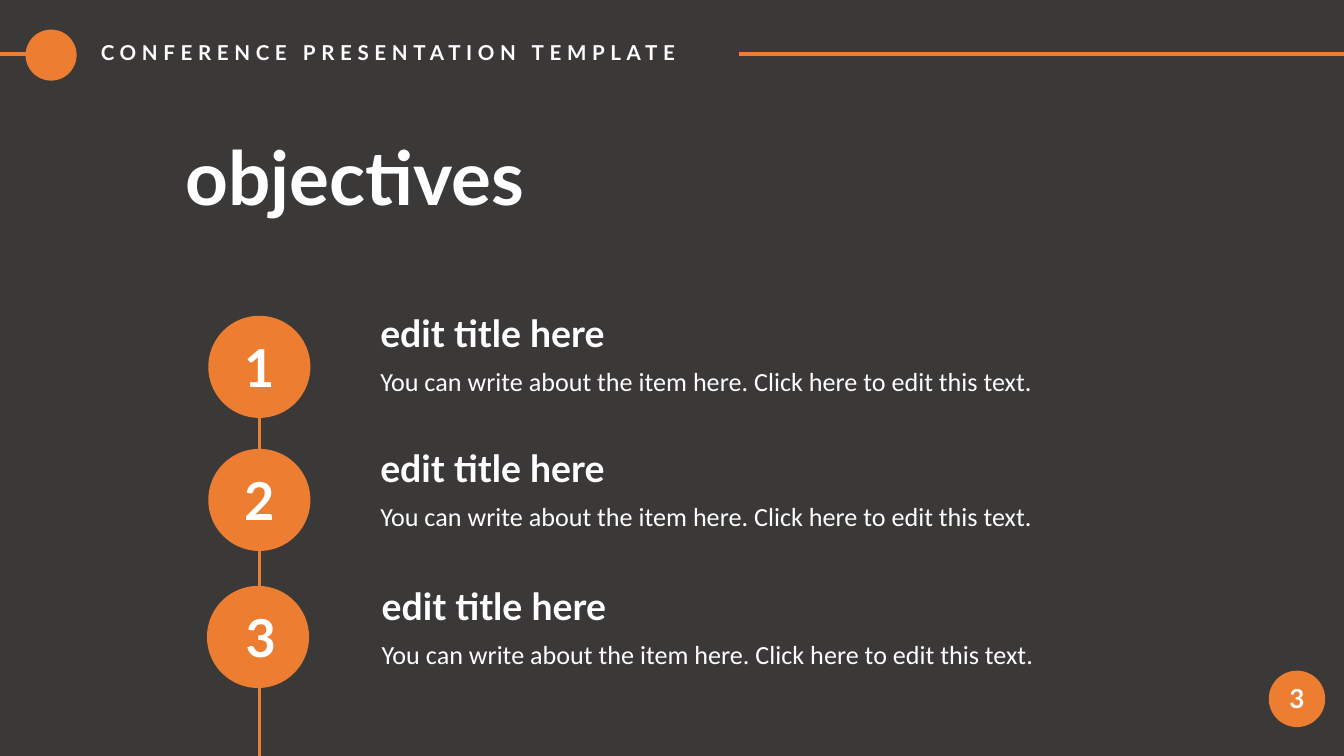
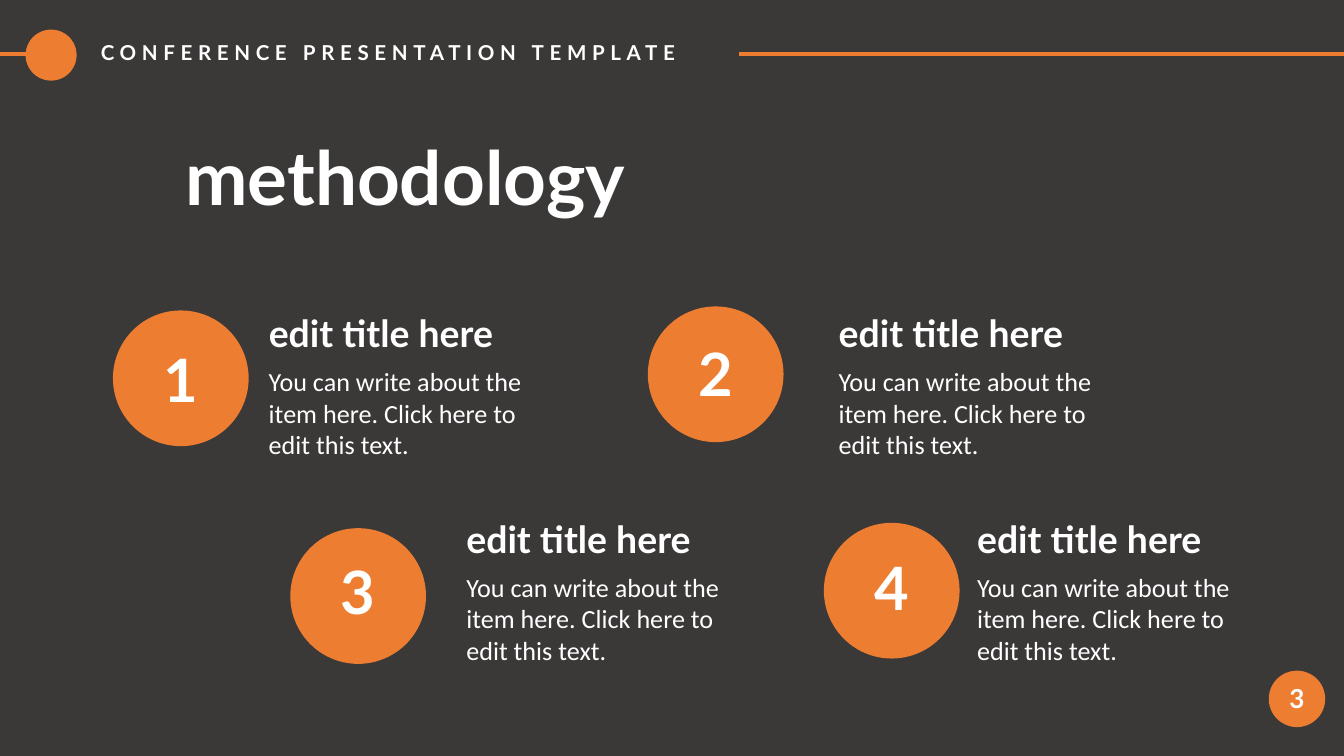
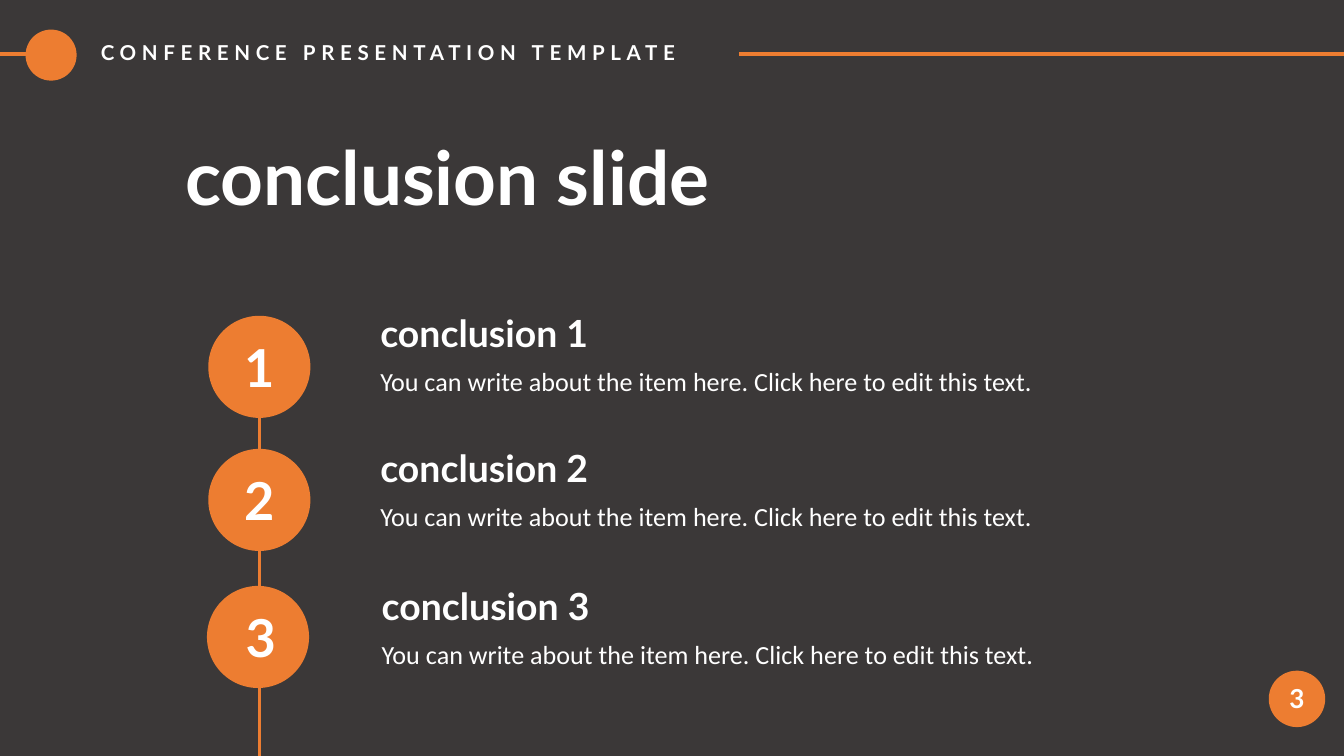
from dataclasses import dataclass

from pptx import Presentation
from pptx import util as u
from pptx.dml.color import RGBColor
from pptx.enum import shapes, text
from pptx.oxml.ns import qn
from lxml import etree


@dataclass(frozen=True)
class Theme:
    background: RGBColor = RGBColor(0x3B, 0x38, 0x38)
    accent: RGBColor = RGBColor(0xED, 0x7D, 0x31)
    ink: RGBColor = RGBColor(0xFF, 0xFF, 0xFF)
    heading_font: str = "Lato"
    body_font: str = "Calibri"
    title_size: int = 40
    large_number_size: int = 32
    number_size: int = 28
    item_size: int = 20
    body_size: int = 14
    header_size: int = 11
    header_spacing: int = 3
    line_width: int = 2


WIDTH = 10
HEIGHT = WIDTH * 9 / 16
HEADER = "CONFERENCE PRESENTATION TEMPLATE"
PAGE_NUMBER = "3"
ITEM_TITLE = "edit title here"
ITEM_BODY = "You can write about the item here. Click here to edit this text."


class Deck:
    """Holds the style and the slide being drawn."""

    def __init__(self, theme):
        self.theme = theme
        self.presentation = Presentation()
        self.presentation.slide_width = u.Inches(WIDTH)
        self.presentation.slide_height = u.Inches(HEIGHT)
        self.slide = None

    def circle(self, left, top, size):
        shape = self.slide.shapes.add_shape(
            shapes.MSO_SHAPE.OVAL, *map(u.Inches, (left, top, size, size)))
        shape.shadow.inherit = False
        shape.fill.solid()
        shape.fill.fore_color.rgb = self.theme.accent
        shape.line.fill.background()

    def line(self, x1, y1, x2, y2):
        connector = self.slide.shapes.add_connector(
            shapes.MSO_CONNECTOR.STRAIGHT, *map(u.Inches, (x1, y1, x2, y2)))
        connector.line.color.rgb = self.theme.accent
        connector.line.width = u.Pt(self.theme.line_width)
        etree.SubElement(connector.element.spPr, qn("a:effectLst"))

    def label(self, words, left, top, width, height, size, heading=True,
              centered=False, middle=False, spacing=None):
        box = self.slide.shapes.add_textbox(
            *map(u.Inches, (left, top, width, height)))
        frame = box.text_frame
        frame.word_wrap = True
        frame.margin_left = frame.margin_right = 0
        frame.margin_top = frame.margin_bottom = 0
        frame.vertical_anchor = (
            text.MSO_ANCHOR.MIDDLE if middle else text.MSO_ANCHOR.TOP)
        paragraph = frame.paragraphs[0]
        paragraph.text = words
        paragraph.alignment = (
            text.PP_ALIGN.CENTER if centered else text.PP_ALIGN.LEFT)
        font = paragraph.font
        font.name = self.theme.heading_font if heading else self.theme.body_font
        font.size = u.Pt(size)
        font.bold = heading
        font.color.rgb = self.theme.ink
        if spacing:
            run = paragraph.runs[0]
            run.font._element.set("spc", str(spacing * 100))

    def badge(self, number, left, top, size, number_size, shift=(0, 0)):
        """Circle with a number at its centre, nudged by shift."""
        width, height = 0.74, 0.59
        self.circle(left, top, size)
        self.label(str(number), left + (size - width) / 2 + shift[0],
                   top + (size - height) / 2 + shift[1], width, height,
                   number_size, centered=True, middle=True)

    def item(self, title, left, top, title_width, body_width, body_height):
        self.label(title, left, top, title_width, 0.33, self.theme.item_size)
        self.label(ITEM_BODY, left, top + 0.41, body_width, body_height,
                   self.theme.body_size, heading=False)

    def new_slide(self, title):
        """Blank slide with background, header band, title and page number."""
        theme = self.theme
        self.slide = self.presentation.slides.add_slide(
            self.presentation.slide_layouts[6])
        fill = self.slide.background.fill
        fill.solid()
        fill.fore_color.rgb = theme.background
        self.circle(9.44, 4.99, 0.42)
        self.circle(0.19, 0.22, 0.38)
        self.line(0.42, 0.4, 0, 0.4)
        self.line(WIDTH, 0.4, 5.5, 0.4)
        self.label(title, 1.38, 1.04, 6.54, 0.54, theme.title_size, middle=True)
        self.label(HEADER, 0.75, 0.3, 4.75, 0.2, theme.header_size,
                   spacing=theme.header_spacing)
        self.label(PAGE_NUMBER, 9.44, 5.08, 0.42, 0.25, theme.body_size,
                   centered=True)

    def timeline_slide(self, title, item_titles):
        """Three numbered items hung on a vertical line."""
        self.new_slide(title)
        self.line(1.93, 2.81, 1.93, HEIGHT)
        # badge left, badge top, number shift, item left, item top
        rows = [
            (1.55, 2.35, (0, 0), 2.83, 2.31),
            (1.55, 3.34, (0, 0), 2.83, 3.31),
            (1.54, 4.36, (0.02, 0), 2.84, 4.34),
        ]
        for number, (row, item_title) in enumerate(zip(rows, item_titles), 1):
            badge_left, badge_top, shift, item_left, item_top = row
            self.badge(number, badge_left, badge_top, 0.76,
                       self.theme.number_size, shift)
            self.item(item_title, item_left, item_top, 5.17, 5.34, 0.33)

    def staggered_slide(self, title):
        """Four numbered items in two offset rows."""
        self.new_slide(title)
        # badge left, badge top, number shift, item left, item top, title width
        steps = [
            (0.84, 2.31, (0, 0), 2, 2.31, 2.09),
            (4.82, 2.28, (0, -0.01), 6.24, 2.31, 2.29),
            (2.16, 3.93, (0, -0.04), 3.47, 3.84, 2.09),
            (6.13, 3.89, (0, -0.03), 7.27, 3.84, 2.29),
        ]
        for number, step in enumerate(steps, 1):
            badge_left, badge_top, shift, item_left, item_top, width = step
            self.item(ITEM_TITLE, item_left, item_top, width, 2.17, 0.76)
            self.badge(number, badge_left, badge_top, 1.01,
                       self.theme.large_number_size, shift)


def main():
    deck = Deck(Theme())
    deck.timeline_slide("objectives", [ITEM_TITLE] * 3)
    deck.staggered_slide("methodology")
    deck.timeline_slide("conclusion slide",
                        [f"conclusion {number}" for number in range(1, 4)])
    deck.presentation.save("out.pptx")


if __name__ == "__main__":
    main()
